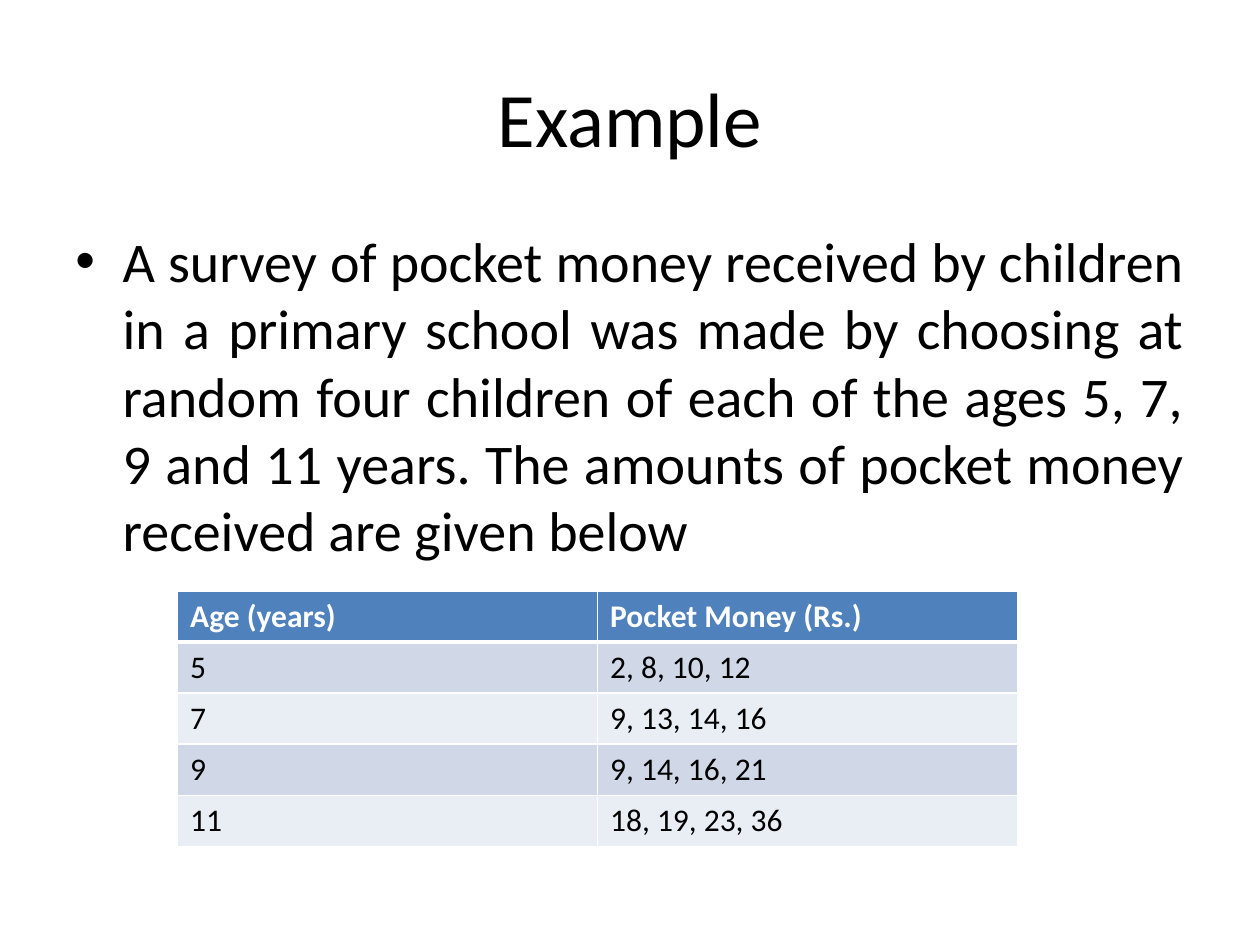
import pptx
import pptx.dml.color
import pptx.enum.text
import pptx.oxml
import pptx.oxml.ns
import pptx.util

Pt = pptx.util.Pt
ALIGN = pptx.enum.text.PP_ALIGN
ANCHOR = pptx.enum.text.MSO_ANCHOR

THEME = {
    "font": "Calibri",
    "text": "000000", "white": "FFFFFF",
    "header": "4F81BD", "bands": ("D0D8E8", "E9EDF4"),
    "title_size": 44, "body_size": 32, "table_size": 18,
}
BODY = (
    "A survey of pocket money received by children in a primary school was made "
    "by choosing at random four children of each of the ages 5, 7, 9 and 11 years. "
    "The amounts of pocket money received are given below"
)
ROWS = [
    ("Age (years)", "Pocket Money (Rs.)"),
    ("5", "2, 8, 10, 12"),
    ("7", "9, 13, 14, 16"),
    ("9", "9, 14, 16, 21"),
    ("11", "18, 19, 23, 36"),
]


def rgb(value):
    return pptx.dml.color.RGBColor.from_string(value)


def write(tf, text, size, color=THEME["text"], bold=False, align=ALIGN.LEFT):
    """Put formatted text in the first paragraph and return that paragraph."""
    p = tf.paragraphs[0]
    p.alignment = align
    r = p.add_run()
    r.text = text
    r.font.name = THEME["font"]
    r.font.size = Pt(size)
    r.font.bold = bold
    r.font.color.rgb = rgb(color)
    return p


prs = pptx.Presentation()
prs.slide_width, prs.slide_height = Pt(720), Pt(540)
s = prs.slides.add_slide(prs.slide_layouts[5])
s.background.fill.solid()
s.background.fill.fore_color.rgb = rgb(THEME["white"])

# Title
title = s.shapes.title
title.left, title.top, title.width, title.height = Pt(36), Pt(21.6), Pt(648), Pt(90)
title.text_frame.vertical_anchor = ANCHOR.MIDDLE
write(title.text_frame, "Example", THEME["title_size"], align=ALIGN.CENTER)

# Bulleted paragraph
body = s.shapes.add_textbox(Pt(36), Pt(126), Pt(648), Pt(356.4))
body.text_frame.word_wrap = True
p = write(body.text_frame, BODY, THEME["body_size"], align=ALIGN.JUSTIFY)
p.space_before = Pt(0.2 * THEME["body_size"])
pPr = p._p.get_or_add_pPr()
pPr.set("marL", str(Pt(27)))
pPr.set("indent", str(-Pt(27)))
ns = pptx.oxml.ns.nsdecls("a")
pPr.append(pptx.oxml.parse_xml(f'<a:buFont {ns} typeface="Arial"/>'))
pPr.append(pptx.oxml.parse_xml(f'<a:buChar {ns} char="•"/>'))

# Pocket money table
table = s.shapes.add_table(
    len(ROWS), 2, Pt(101.5), Pt(337.7), Pt(480), Pt(29.2 * len(ROWS))
).table
for i, row in enumerate(ROWS):
    header = i == 0
    for j, text in enumerate(row):
        cell = table.cell(i, j)
        write(cell.text_frame, text, THEME["table_size"], bold=header,
              color=THEME["white"] if header else THEME["text"])
        tcPr = cell._tc.get_or_add_tcPr()
        for side in "LRTB":
            thick = (i, side) in ((0, "B"), (1, "T"))
            tcPr.append(pptx.oxml.parse_xml(
                f'<a:ln{side} {ns} w="{Pt(3 if thick else 1)}"><a:solidFill>'
                f'<a:srgbClr val="{THEME["white"]}"/></a:solidFill></a:ln{side}>'))
        cell.fill.solid()
        cell.fill.fore_color.rgb = rgb(
            THEME["header"] if header else THEME["bands"][(i - 1) % 2])

prs.save("out.pptx")
